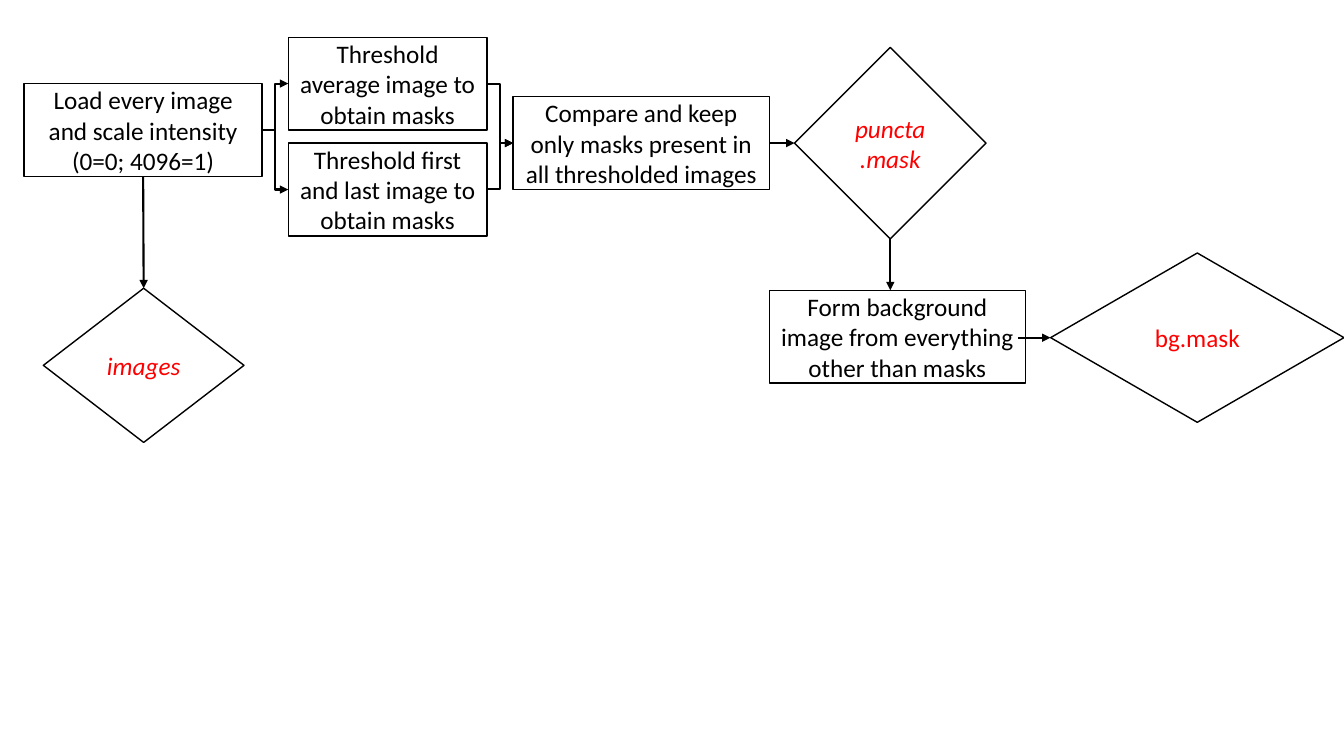
import pptx
import pptx.dml.color
import pptx.enum.shapes
import pptx.enum.text
import pptx.oxml.ns
import pptx.oxml.xmlchemy
import pptx.util

Inches = pptx.util.Inches
Pt = pptx.util.Pt
RGB = pptx.dml.color.RGBColor.from_string
PRESET = pptx.enum.shapes.MSO_SHAPE
ROUTE = pptx.enum.shapes.MSO_CONNECTOR

STEP_HEIGHT = 0.92
STEPS = {
    "average": ("Threshold average image to obtain masks", 2.86, 0.37, 1.97),
    "load": ("Load every image and scale intensity (0=0; 4096=1)", 0.24, 0.83, 2.36),
    "first_last": ("Threshold first and last image to obtain masks", 2.86, 1.42, 1.97),
    "compare": ("Compare and keep only masks present in all thresholded images", 5.09, 0.96, 2.54),
    "background": ("Form background image from everything other than masks", 7.63, 2.88, 2.54),
}
RESULTS = {
    "puncta": ("puncta.mask", 7.88, 0.47, 1.9, 1.9, True),
    "bg": ("bg.mask", 10.42, 2.51, 2.91, 1.68, False),
    "images": ("images", 0.43, 2.86, 1.99, 1.53, True),
}
TOP, LEFT, BOTTOM, RIGHT = range(4)
LINKS = [
    ("load", BOTTOM, "images", TOP, ROUTE.STRAIGHT),
    ("load", RIGHT, "first_last", LEFT, ROUTE.ELBOW),
    ("load", RIGHT, "average", LEFT, ROUTE.ELBOW),
    ("average", RIGHT, "compare", LEFT, ROUTE.ELBOW),
    ("first_last", RIGHT, "compare", LEFT, ROUTE.ELBOW),
    ("compare", RIGHT, "puncta", LEFT, ROUTE.STRAIGHT),
]
FREE_ARROWS = [
    ((8.83, 2.37), (8.83, 2.88)),
    ((10.1, 3.35), (10.42, 3.35)),
]
THEME = {
    "font": "Calibri",
    "size": Pt(18),
    "paper": RGB("FFFFFF"),
    "ink": RGB("000000"),
    "result": RGB("FF0000"),
    "outline": Pt(1),
    "arrow": Pt(1.5),
}

deck = pptx.Presentation()
deck.slide_width, deck.slide_height = Inches(13.33), Inches(7.5)
flowchart = deck.slides.add_slide(deck.slide_layouts[6])


def add_node(preset, wording, bounds, color, italic=False):
    node = flowchart.shapes.add_shape(preset, *map(Inches, bounds))
    node.shadow.inherit = False
    node.fill.solid()
    node.fill.fore_color.rgb = THEME["paper"]
    node.line.color.rgb = THEME["ink"]
    node.line.width = THEME["outline"]
    node.text_frame.word_wrap = True
    node.text_frame.vertical_anchor = pptx.enum.text.MSO_ANCHOR.MIDDLE
    label = node.text_frame.paragraphs[0]
    label.alignment = pptx.enum.text.PP_ALIGN.CENTER
    words = label.add_run()
    words.text = wording
    words.font.color.rgb = color
    for attribute, value in {"name": THEME["font"], "size": THEME["size"], "italic": italic}.items():
        setattr(words.font, attribute, value)
    return node


def add_arrow(route, start, end):
    arrow = flowchart.shapes.add_connector(route, *start, *end)
    arrow.line.color.rgb = THEME["ink"]
    arrow.line.width = THEME["arrow"]
    head = arrow.line._get_or_add_ln().makeelement(pptx.oxml.ns.qn("a:tailEnd"), {"type": "triangle"})
    arrow.line._get_or_add_ln().append(head)
    properties = arrow._element.spPr
    properties.append(properties.makeelement(pptx.oxml.ns.qn("a:effectLst"), {}))
    return arrow


def site(node, side):
    across, down = {TOP: (1, 0), LEFT: (0, 1), BOTTOM: (1, 2), RIGHT: (2, 1)}[side]
    return node.left + node.width * across // 2, node.top + node.height * down // 2


nodes = {}
for key, (wording, left, top, width) in STEPS.items():
    nodes[key] = add_node(PRESET.RECTANGLE, wording, (left, top, width, STEP_HEIGHT), THEME["ink"])
for key, (wording, *bounds, italic) in RESULTS.items():
    nodes[key] = add_node(PRESET.DIAMOND, wording, bounds, THEME["result"], italic)

for source, exit_side, target, entry_side, route in LINKS:
    arrow = add_arrow(route, site(nodes[source], exit_side), site(nodes[target], entry_side))
    arrow.begin_connect(nodes[source], exit_side)
    arrow.end_connect(nodes[target], entry_side)
for start, end in FREE_ARROWS:
    add_arrow(ROUTE.STRAIGHT, map(Inches, start), map(Inches, end))

deck.save("out.pptx")
